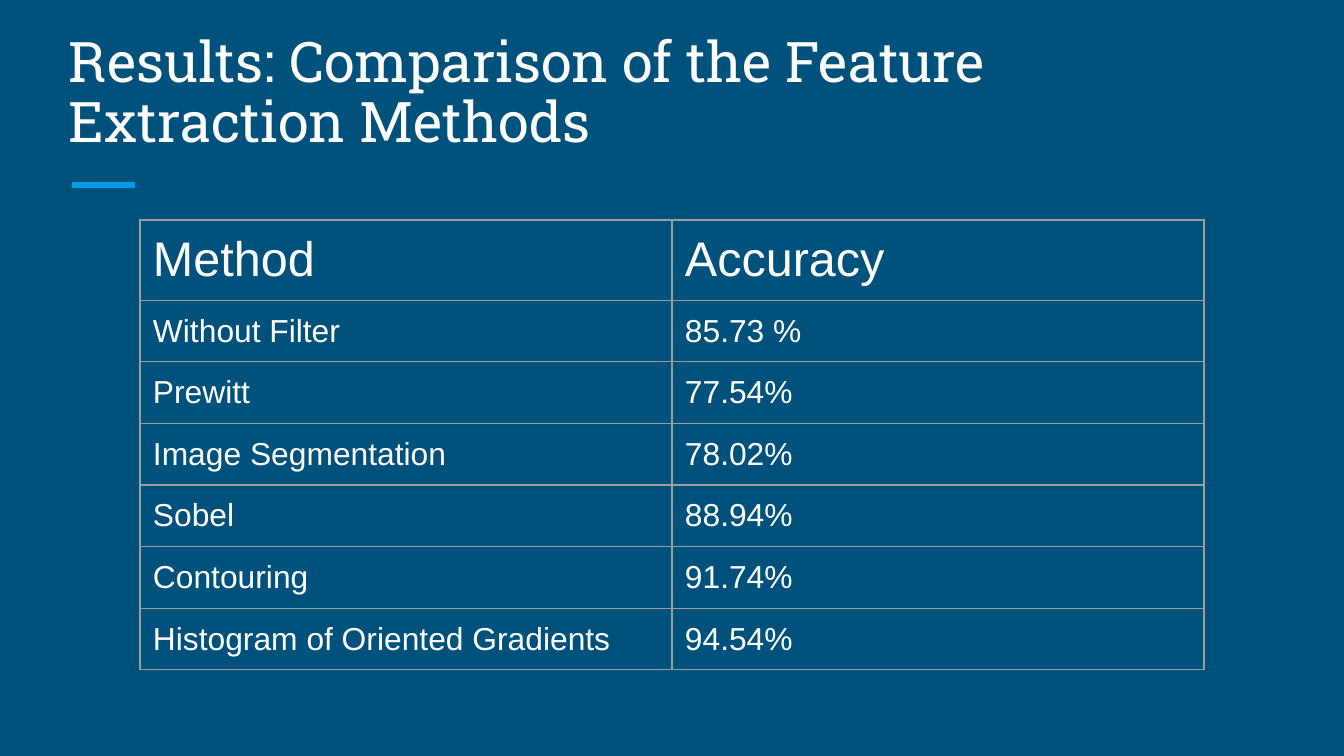
from dataclasses import dataclass

from lxml import etree
from pptx import Presentation
from pptx.dml.color import RGBColor
from pptx.enum.shapes import MSO_CONNECTOR
from pptx.enum.text import MSO_ANCHOR, MSO_AUTO_SIZE, PP_ALIGN
from pptx.oxml.ns import qn
from pptx.util import Pt

LINE = MSO_CONNECTOR.STRAIGHT
BOTTOM, TOP = MSO_ANCHOR.BOTTOM, MSO_ANCHOR.TOP
FIXED = MSO_AUTO_SIZE.NONE
LEFT = PP_ALIGN.LEFT
SCALE = 914400 / 134.4
SIDES = ("left", "right", "top", "bottom")


@dataclass(frozen=True)
class Theme:
    """Hold the colours, fonts and sizes of the slide."""

    back: str = "00517C"
    ink: str = "FFFFFF"
    accent: str = "039BE5"
    grid: str = "9E9E9E"
    serif: str = "Roboto Slab"
    sans: str = "Arial"
    title: int = 30
    head: int = 26
    cell: int = 17
    rule: int = 3
    edge: float = 0.75
    pad: int = 13


THEME = Theme()

ROWS = [
    ("Method", "Accuracy"),
    ("Without Filter", "85.73 %"),
    ("Prewitt", "77.54%"),
    ("Image Segmentation", "78.02%"),
    ("Sobel", "88.94%"),
    ("Contouring", "91.74%"),
    ("Histogram of Oriented Gradients", "94.54%"),
]


def px(value):
    """Turn pixels into EMU."""
    return round(value * SCALE)


def apply(item, values):
    """Set each attribute named in a dict."""
    for name, value in values.items():
        setattr(item, name, value)


def style(para, face, size):
    """Format the text of a paragraph."""
    para.alignment = LEFT
    apply(para.font, {"name": face, "size": Pt(size), "bold": False})
    para.font.color.rgb = RGBColor.from_string(THEME.ink)


def pads():
    """Give equal margins for all four sides."""
    return {f"margin_{side}": px(THEME.pad) for side in SIDES}


def border(cell):
    """Draw the four edges of a table cell."""
    props = cell._tc.get_or_add_tcPr()
    for tag in ("a:lnL", "a:lnR", "a:lnT", "a:lnB"):
        edge = etree.SubElement(props, qn(tag), w=str(Pt(THEME.edge)))
        fill = etree.SubElement(edge, qn("a:solidFill"))
        etree.SubElement(fill, qn("a:srgbClr"), val=THEME.grid)


def add_title(slide, text, left, top, width, height):
    """Place the title and the short rule below it."""
    title = slide.shapes.title
    apply(title, {"left": px(left), "top": px(top),
                  "width": px(width), "height": px(height)})
    frame = title.text_frame
    frame.text = text
    apply(frame, {"word_wrap": True, "auto_size": FIXED,
                  "vertical_anchor": BOTTOM, **pads()})
    para = frame.paragraphs[0]
    para.line_spacing = 0.9
    style(para, THEME.serif, THEME.title)

    start, level = left + 16, top + height + 17
    rule = slide.shapes.add_connector(
        LINE, px(start), px(level), px(start + 63), px(level))
    rule.line.color.rgb = RGBColor.from_string(THEME.accent)
    rule.line.width = Pt(THEME.rule)
    etree.SubElement(rule.element.spPr, qn("a:effectLst"))


def add_grid(slide, rows, left, top, width, height):
    """Place the table of methods and their accuracy."""
    table = slide.shapes.add_table(
        len(rows), len(rows[0]),
        px(left), px(top), px(width), px(height)).table
    apply(table, {"first_row": False, "horz_banding": False})
    for i, row in enumerate(rows):
        size = THEME.cell if i else THEME.head
        for j, text in enumerate(row):
            cell = table.cell(i, j)
            cell.text = text
            apply(cell, {"vertical_anchor": TOP, **pads()})
            border(cell)
            cell.fill.background()
            style(cell.text_frame.paragraphs[0], THEME.sans, size)


def main():
    """Build and save the slide."""
    deck = Presentation()
    apply(deck, {"slide_width": px(1344), "slide_height": px(756)})
    slide = deck.slides.add_slide(deck.slide_layouts[5])
    fill = slide.background.fill
    fill.solid()
    fill.fore_color.rgb = RGBColor.from_string(THEME.back)
    add_title(slide, "Results: Comparison of the Feature Extraction Methods",
              56, 67, 1228, 101)
    add_grid(slide, ROWS, 140, 220, 1064, 392)
    deck.save("out.pptx")


if __name__ == "__main__":
    main()
